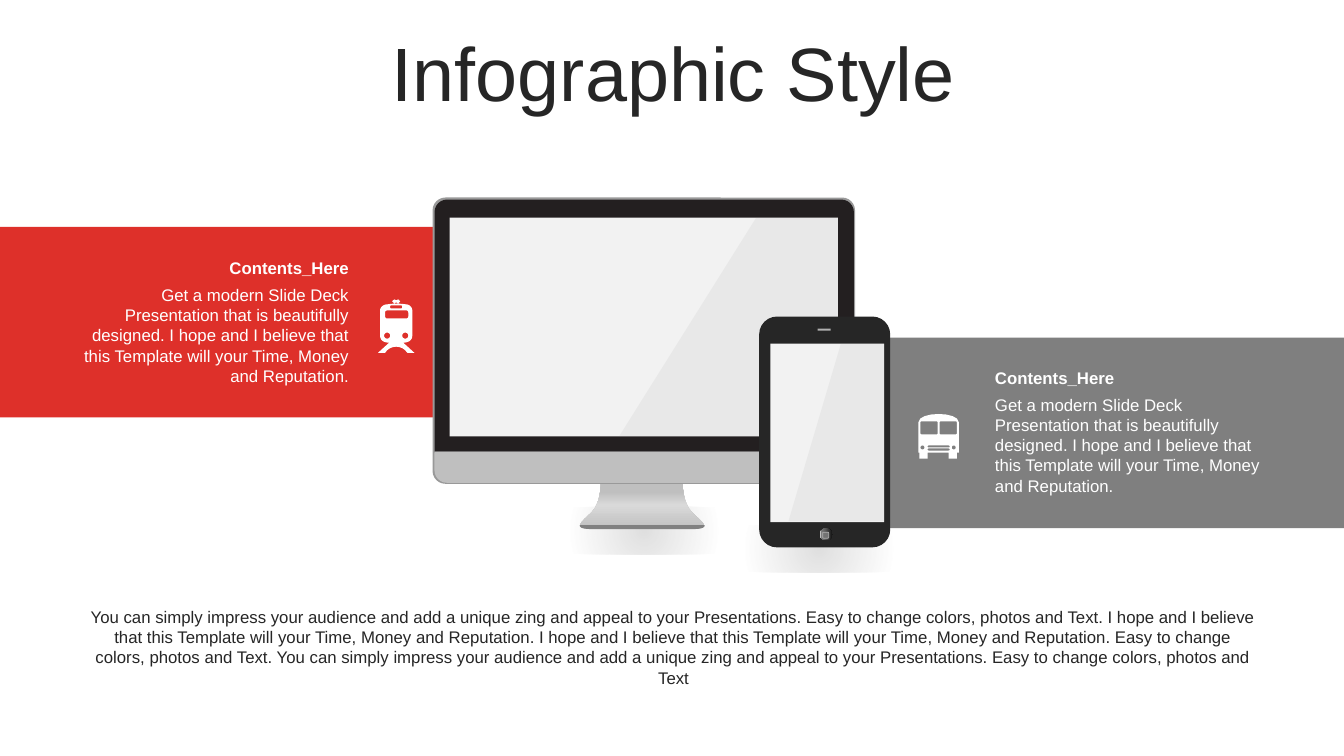
import math

from lxml import etree
from pptx import Presentation
from pptx.dml.color import RGBColor
from pptx.enum.shapes import MSO_SHAPE
from pptx.enum.text import MSO_ANCHOR, MSO_AUTO_SIZE, PP_ALIGN
from pptx.oxml.ns import qn
from pptx.util import Inches, Pt

RECT, ROUND = MSO_SHAPE.RECTANGLE, MSO_SHAPE.ROUNDED_RECTANGLE
OVAL, TOPPED = MSO_SHAPE.OVAL, MSO_SHAPE.ROUND_2_SAME_RECTANGLE
LEFT, CENTER, RIGHT = PP_ALIGN.LEFT, PP_ALIGN.CENTER, PP_ALIGN.RIGHT
TOP, MIDDLE = MSO_ANCHOR.TOP, MSO_ANCHOR.MIDDLE
NO_FIT, GROW = MSO_AUTO_SIZE.NONE, MSO_AUTO_SIZE.SHAPE_TO_FIT_TEXT

RED = RGBColor(0xDE, 0x30, 0x2A)
GRAY = RGBColor(0x7F, 0x7F, 0x7F)
SHADE = RGBColor(0x80, 0x80, 0x80)
WHITE = RGBColor(0xFF, 0xFF, 0xFF)
INK = RGBColor(0x26, 0x26, 0x26)
FRAME = RGBColor(0x99, 0x99, 0x99)
BEZEL = RGBColor(0x23, 0x1F, 0x20)
SILVER = RGBColor(0xBF, 0xBF, 0xBF)
BRIGHT = RGBColor(0xD9, 0xD9, 0xD9)
GLASS = RGBColor(0xF2, 0xF2, 0xF2)
TRIM = RGBColor(0xB0, 0xB0, 0xB0)
KEY = RGBColor(0x73, 0x73, 0x73)
NIGHT = RGBColor(0x0F, 0x0F, 0x0F)
SLATE = RGBColor(0x59, 0x59, 0x59)

HEAD = "Contents_Here"
BODY = ("Get a modern Slide Deck Presentation that is beautifully designed. "
        "I hope and I believe that this Template will your Time, Money and "
        "Reputation.")
NOTE = ("You can simply impress your audience and add a unique zing and appeal "
        "to your Presentations. Easy to change colors, photos and Text. I hope "
        "and I believe that this Template will your Time, Money and Reputation. "
        "I hope and I believe that this Template will your Time, Money and "
        "Reputation. Easy to change colors, photos and Text. You can simply "
        "impress your audience and add a unique zing and appeal to your "
        "Presentations. Easy to change colors, photos and Text")


def paint(shape, color, alpha=None):
    shape.shadow.inherit = False
    shape.line.fill.background()
    shape.fill.solid()
    shape.fill.fore_color.rgb = color
    if alpha is not None:
        tint = next(shape.fill._xPr.iter(qn("a:srgbClr")))
        etree.SubElement(tint, qn("a:alpha"), val=str(alpha * 1000))


def blend(shape, stops, angle=None):
    """Fill with (percent, color, alpha) stops; round when angle is None."""
    shape.fill.gradient()
    grad = shape.fill._xPr.find(qn("a:gradFill"))
    for child in list(grad):
        grad.remove(child)
    group = etree.SubElement(grad, qn("a:gsLst"))
    for place, color, alpha in stops:
        stop = etree.SubElement(group, qn("a:gs"), pos=str(place * 1000))
        tint = etree.SubElement(stop, qn("a:srgbClr"), val=str(color))
        if alpha < 100:
            etree.SubElement(tint, qn("a:alpha"), val=str(alpha * 1000))
    if angle is None:
        ring = etree.SubElement(grad, qn("a:path"), path="circle")
        etree.SubElement(ring, qn("a:fillToRect"),
                         {side: "50000" for side in "ltrb"})
    else:
        etree.SubElement(grad, qn("a:lin"), ang=str(angle * 60000), scaled="0")


def block(shapes, kind, at, color, bends=()):
    shape = shapes.add_shape(kind, *map(Inches, at))
    paint(shape, color)
    for spot, bend in enumerate(bends):
        shape.adjustments[spot] = bend
    return shape


def trace(start, *steps):
    """Points of an outline; a step is a line end (2) or a cubic curve (6)."""
    points = [start]
    for step in steps:
        if len(step) == 2:
            points.append(step)
            continue
        knots = [points[-1], step[:2], step[2:4], step[4:]]
        for part in range(1, 9):
            t = part / 8
            mix = [math.comb(3, k) * t ** k * (1 - t) ** (3 - k) for k in range(4)]
            points.append(tuple(sum(m * knot[axis] for m, knot in zip(mix, knots))
                                for axis in (0, 1)))
    return points


def oblong(left, top, right, low, bend):
    """Points of a box with round corners."""
    points = []
    mids = [(right - bend, low - bend), (left + bend, low - bend),
            (left + bend, top + bend), (right - bend, top + bend)]
    for turn, (x, y) in enumerate(mids):
        for part in range(7):
            angle = math.pi / 2 * (turn + part / 6)
            points.append((x + bend * math.cos(angle), y + bend * math.sin(angle)))
    return points


def disc(x, y, size):
    return oblong(x - size, y - size, x + size, y + size, size)


def carve(shapes, color, *loops, alpha=None):
    """Draw one outline from loops; inner loops are holes."""
    loops = [[(Inches(x), Inches(y)) for x, y in loop] for loop in loops]
    pen = shapes.build_freeform(*loops[0][0])
    for spot, loop in enumerate(loops):
        if spot:
            pen.move_to(*loop[0])
        pen.add_line_segments(loop[1:], close=True)
    shape = pen.convert_to_shape()
    paint(shape, color, alpha)
    return shape


def write(box, text, at, color=INK, size=12, bold=False, align=CENTER,
          anchor=TOP, fit=GROW, space=1.0):
    box.left, box.top, box.width, box.height = map(Inches, at)
    frame = box.text_frame
    for name, value in dict(word_wrap=True, auto_size=fit,
                            vertical_anchor=anchor).items():
        setattr(frame, name, value)
    para = frame.paragraphs[0]
    para.alignment, para.line_spacing = align, space
    run = para.add_run()
    run.text = text
    for name, value in dict(name="Arial", size=Pt(size), bold=bold).items():
        setattr(run.font, name, value)
    run.font.color.rgb = color


def label(shapes, text, at, **style):
    write(shapes.add_textbox(0, 0, 0, 0), text, at, **style)


def panel(shapes, left, top, align):
    style = dict(color=WHITE, align=align, anchor=MIDDLE)
    label(shapes, BODY, (left, top + 0.26, 2.83, 1.11), **style)
    label(shapes, HEAD, (left, top, 2.83, 0.3), bold=True, **style)


def glow(shapes, left, top):
    shape = block(shapes, OVAL, (left, top, 4.61, 0.47), SHADE)
    blend(shape, [(0, SHADE, 25), (32, SHADE, 0), (100, SHADE, 0)])


def screen(shapes):
    stand = carve(shapes, SILVER, trace(
        (6.86, 5.08), (6.77, 4.99, 6.77, 4.8, 6.77, 4.8), (5.96, 4.8),
        (5.96, 4.8, 5.96, 4.99, 5.87, 5.08), (5.78, 5.17, 5.65, 5.25, 5.89, 5.25),
        (6.85, 5.25), (7.09, 5.25, 6.95, 5.17, 6.86, 5.08)))
    blend(stand, [(0, SILVER, 100), (53, BRIGHT, 100), (83, SILVER, 100),
                  (100, SILVER, 100)], 270)
    block(shapes, ROUND, (4.29, 1.96, 4.19, 2.84), FRAME, [0.045])
    block(shapes, TOPPED, (4.31, 1.98, 4.16, 2.5), BEZEL, [0.05, 0])
    carve(shapes, SHADE, trace((5.75, 5.21), (5.75, 5.24, 5.79, 5.25, 5.89, 5.25),
                               (6.85, 5.25), (6.95, 5.25, 6.99, 5.24, 6.99, 5.21)))
    block(shapes, TOPPED, (4.31, 4.48, 4.16, 0.31), SILVER, [0, 0.4])
    block(shapes, RECT, (4.46, 2.16, 3.85, 2.17), GLASS)
    carve(shapes, FRAME, [(7.5, 2.16), (8.31, 2.16), (8.31, 4.33), (6.14, 4.33)],
          alpha=10)


def phone(shapes):
    block(shapes, ROUND, (7.53, 3.14, 1.3, 2.29), INK, [0.136])
    block(shapes, RECT, (8.11, 3.26, 0.13, 0.02), TRIM)
    home = block(shapes, OVAL, (8.13, 5.24, 0.13, 0.12), SHADE)
    blend(home, [(0, NIGHT, 100), (56, SLATE, 100), (91, SHADE, 100),
                 (100, SILVER, 100)], 180)
    key = block(shapes, ROUND, (8.16, 5.28, 0.06, 0.06), KEY)
    key.line.color.rgb, key.line.width = TRIM, Pt(0.5)
    block(shapes, RECT, (7.64, 3.41, 1.13, 1.77), GLASS)
    carve(shapes, FRAME, [(8.34, 3.41), (8.77, 3.41), (8.77, 5.17), (7.82, 5.17)],
          alpha=10)


def bus(shapes):
    carve(shapes, WHITE, trace(
        (9.51, 4.19), (9.51, 4.49), (9.49, 4.49), (9.49, 4.55), (9.41, 4.55),
        (9.41, 4.49), (9.2, 4.49), (9.2, 4.55), (9.12, 4.55), (9.12, 4.49),
        (9.11, 4.49), (9.11, 4.19), (9.11, 4.08, 9.51, 4.08, 9.51, 4.19)),
        oblong(9.13, 4.18, 9.3, 4.31, 0.01), oblong(9.32, 4.18, 9.49, 4.31, 0.01),
        oblong(9.2, 4.42, 9.42, 4.44, 0.01), oblong(9.2, 4.45, 9.42, 4.47, 0.01),
        disc(9.15, 4.44, 0.02), disc(9.46, 4.44, 0.02))


def tram(shapes):
    carve(shapes, WHITE, trace(
        (3.84, 3.02), (3.9, 3.01, 3.96, 3.01, 4.03, 3.02),
        (4.06, 3.02, 4.09, 3.05, 4.09, 3.08), (4.09, 3.33),
        (4.09, 3.37, 4.06, 3.4, 4.0, 3.4), (4.11, 3.5), (4.04, 3.5),
        (3.99, 3.42, 3.87, 3.42, 3.82, 3.5), (3.75, 3.5), (3.86, 3.4),
        (3.8, 3.4, 3.77, 3.37, 3.77, 3.33), (3.77, 3.08),
        (3.77, 3.05, 3.8, 3.02, 3.84, 3.02)),
        disc(3.84, 3.33, 0.03), disc(4.02, 3.33, 0.03),
        oblong(3.82, 3.08, 4.05, 3.16, 0.02), oblong(3.87, 3.03, 3.99, 3.06, 0.01),
        [(3.91, 2.97), (3.93, 2.98), (3.95, 2.97), (3.97, 2.99), (3.95, 3.01),
         (3.93, 3.0), (3.91, 3.01), (3.89, 2.99)])


def main():
    deck = Presentation()
    deck.slide_width, deck.slide_height = Inches(13.33), Inches(7.5)
    slide = deck.slides.add_slide(deck.slide_layouts[5])
    shapes = slide.shapes
    glow(shapes, 4.08, 5.03)
    block(shapes, RECT, (0, 2.25, 4.58, 1.89), RED)
    block(shapes, RECT, (8.5, 3.35, 4.83, 1.89), GRAY)
    screen(shapes)
    glow(shapes, 5.82, 5.21)
    phone(shapes)
    write(shapes.title, "Infographic Style", (0.35, 0.37, 12.66, 0.79), size=54,
          anchor=MIDDLE, fit=NO_FIT, space=0.9)
    label(shapes, NOTE, (0.79, 5.97, 11.78, 0.71))
    panel(shapes, 9.77, 3.6, LEFT)
    panel(shapes, 0.73, 2.51, RIGHT)
    bus(shapes)
    tram(shapes)
    deck.save("out.pptx")


if __name__ == "__main__":
    main()
